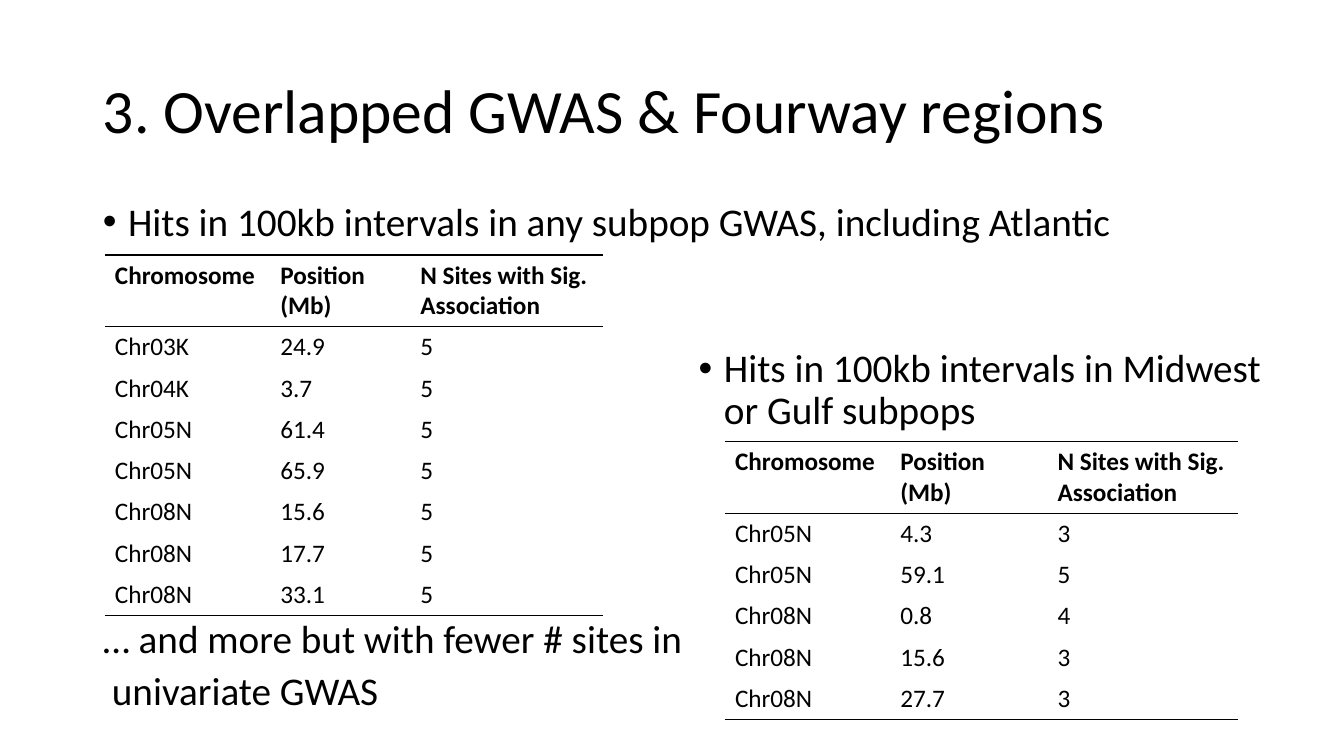
from lxml import etree
from pptx import Presentation
from pptx import util as u
from pptx.dml.color import RGBColor
from pptx.enum import text
from pptx.oxml import parse_xml
from pptx.oxml.ns import nsdecls, qn

PX = u.Inches(1) // 100
FONT = "Calibri"
COLORS = {"ink": "000000", "page": "FFFFFF"}
PLAIN_TABLE_STYLE = "{2D5ABB26-0587-4C30-8999-92F81FD0307C}"
HEADERS = ["Chromosome", "Position (Mb)", "N Sites with Sig. Association"]
HEADER_HEIGHT, ROW_HEIGHT = 71, 41

ANY_SUBPOP_HITS = [
    ("Chr03K", "24.9", "5"),
    ("Chr04K", "3.7", "5"),
    ("Chr05N", "61.4", "5"),
    ("Chr05N", "65.9", "5"),
    ("Chr08N", "15.6", "5"),
    ("Chr08N", "17.7", "5"),
    ("Chr08N", "33.1", "5"),
]
MIDWEST_GULF_HITS = [
    ("Chr05N", "4.3", "3"),
    ("Chr05N", "59.1", "5"),
    ("Chr08N", "0.8", "4"),
    ("Chr08N", "15.6", "3"),
    ("Chr08N", "27.7", "3"),
]


def style_font(para, size, bold=False):
    para.font.name = FONT
    para.font.size = u.Pt(size)
    para.font.bold = bold
    para.font.color.rgb = RGBColor.from_string(COLORS["ink"])


def place(shape, box):
    shape.left, shape.top, shape.width, shape.height = (n * PX for n in box)
    shape.text_frame.word_wrap = True
    shape.text_frame.auto_size = text.MSO_AUTO_SIZE.NONE


def fill_title(title, box, words):
    place(title, box)
    title.text_frame.vertical_anchor = text.MSO_ANCHOR.MIDDLE
    para = title.text_frame.paragraphs[0]
    para.text = words
    para.alignment = text.PP_ALIGN.LEFT
    para.line_spacing = 0.9
    style_font(para, 44)


def fill_list(body, box, lines, spacing):
    """Write lines of (words, bulleted, left margin in px, space before in pt)."""
    place(body, box)
    frame = body.text_frame
    for number, (words, bulleted, margin, before) in enumerate(lines):
        para = frame.add_paragraph() if number else frame.paragraphs[0]
        para.text = words
        para.line_spacing = spacing
        para.space_before = u.Pt(before)
        style_font(para, 28)
        props = para._p.get_or_add_pPr()
        props.set("marL", str(margin * PX))
        props.set("indent", str(-margin * PX if bulleted else 0))
        if bulleted:
            font = etree.Element(qn("a:buFont"), typeface="Arial")
            bullet = etree.Element(qn("a:buChar"), char="•")
            marks = [font, bullet]
        else:
            marks = [etree.Element(qn("a:buNone"))]
        rest = props.find(qn("a:defRPr"))
        for mark in marks:
            rest.addprevious(mark)


def draw_rules(cell, sides):
    props = cell._tc.get_or_add_tcPr()
    for number, side in enumerate(sides):
        props.insert(number, parse_xml(
            f'<a:ln{side} {nsdecls("a")} w="{u.Pt(1)}"><a:solidFill>'
            f'<a:srgbClr val="{COLORS["ink"]}"/></a:solidFill></a:ln{side}>'))


def add_hits_table(page, left, top, widths, hits):
    rows = [HEADERS, *hits]
    height = HEADER_HEIGHT + ROW_HEIGHT * len(hits)
    frame = page.shapes.add_table(len(rows), len(widths), left * PX, top * PX,
                                  sum(widths) * PX, height * PX)
    table = frame.table
    table.horz_banding = False
    table._tbl.tblPr.find(qn("a:tableStyleId")).text = PLAIN_TABLE_STYLE
    for column, width in zip(table.columns, widths):
        column.width = width * PX
    rules = {0: "TB", len(hits): "B"}
    for r, values in enumerate(rows):
        table.rows[r].height = (ROW_HEIGHT if r else HEADER_HEIGHT) * PX
        for c, value in enumerate(values):
            cell = table.cell(r, c)
            cell.fill.background()
            cell.text = value
            style_font(cell.text_frame.paragraphs[0], 18, bold=r == 0)
            draw_rules(cell, rules.get(r, ""))


def build_overlap_slide(deck):
    page = deck.slides.add_slide(deck.slide_layouts.get_by_name("Two Content"))
    page.background.fill.solid()
    page.background.fill.fore_color.rgb = RGBColor.from_string(COLORS["page"])
    title, any_subpop, midwest_gulf = page.placeholders
    fill_title(title, (92, 40, 1150, 145), "3. Overlapped GWAS & Fourway regions")
    fill_list(any_subpop, (92, 200, 1162, 514), [
        ("Hits in 100kb intervals in any subpop GWAS, including Atlantic", True, 25, 10),
        ("… and more but with fewer # sites in", False, 0, 271),
        ("univariate GWAS", False, 9, 10),
    ], spacing=0.8)
    add_hits_table(page, 104, 253, (164, 139, 191), ANY_SUBPOP_HITS)
    add_hits_table(page, 719, 438, (164, 156, 189), MIDWEST_GULF_HITS)
    fill_list(midwest_gulf, (683, 341, 606, 409), [
        ("Hits in 100kb intervals in Midwest or Gulf subpops", True, 25, 10),
    ], spacing=0.9)


def main():
    deck = Presentation()
    deck.slide_width, deck.slide_height = 1333 * PX, 750 * PX
    build_overlap_slide(deck)
    deck.save("out.pptx")


if __name__ == "__main__":
    main()
